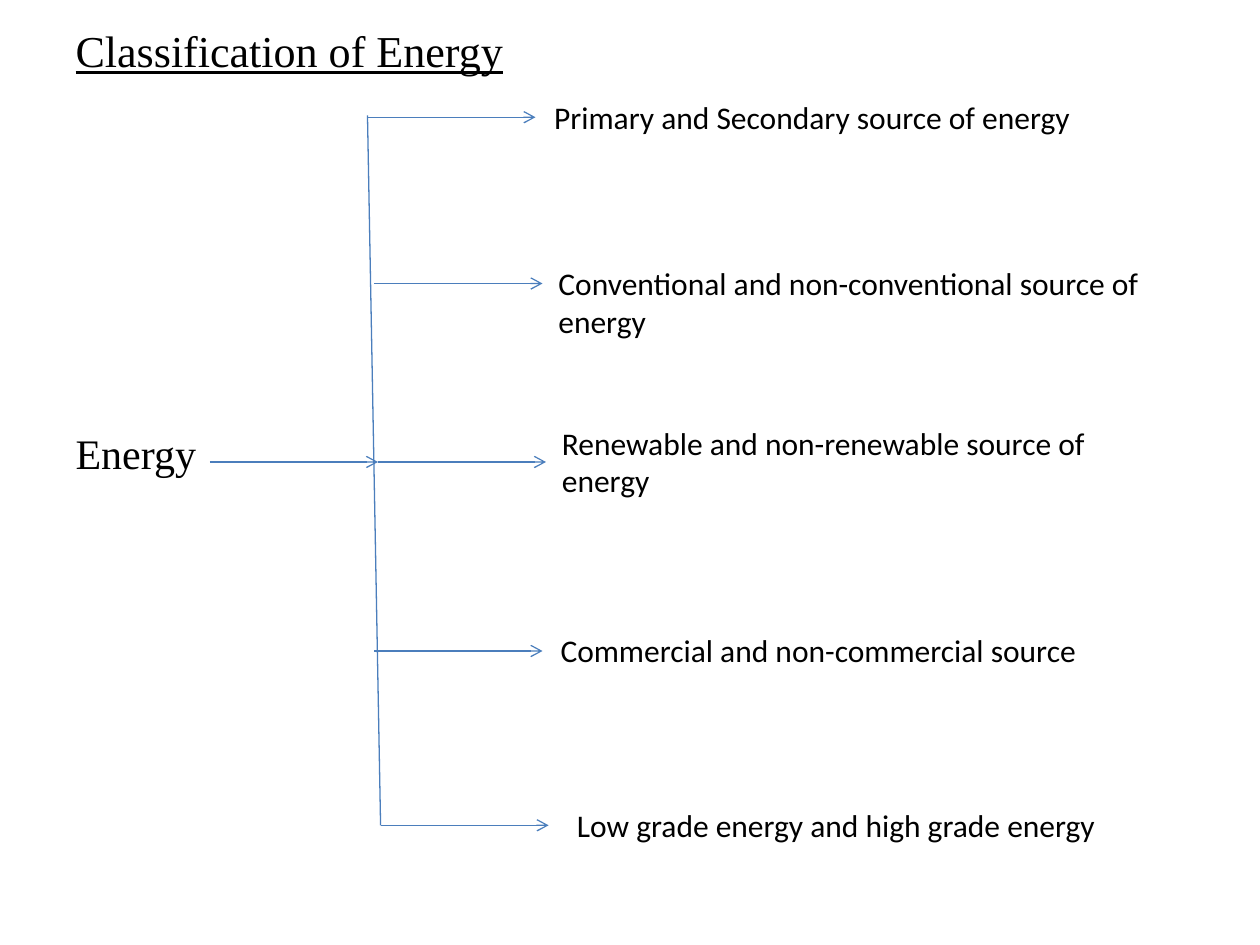
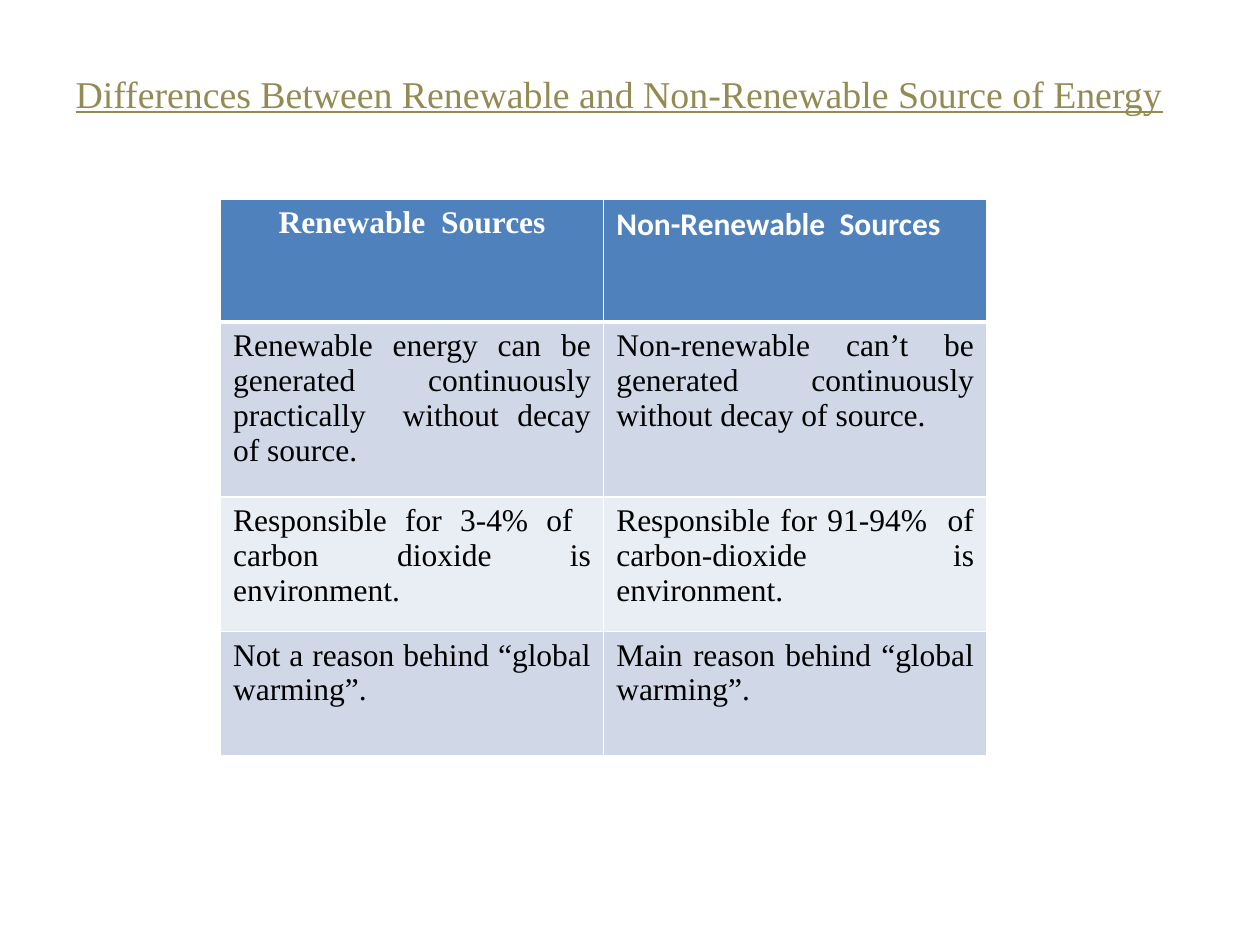
from lxml import etree
from pptx import Presentation
from pptx.dml.color import RGBColor
from pptx.enum.shapes import MSO_CONNECTOR
from pptx.enum.text import MSO_ANCHOR, MSO_AUTO_SIZE, PP_ALIGN
from pptx.oxml.ns import qn
from pptx.util import Pt

LEFT, CENTER, JUSTIFY = PP_ALIGN.LEFT, PP_ALIGN.CENTER, PP_ALIGN.JUSTIFY
TOP, MIDDLE = MSO_ANCHOR.TOP, MSO_ANCHOR.MIDDLE
NO_FIT, GROW = MSO_AUTO_SIZE.NONE, MSO_AUTO_SIZE.SHAPE_TO_FIT_TEXT
STRAIGHT = MSO_CONNECTOR.STRAIGHT
SERIF, SANS = "Times New Roman", "Calibri"
BLACK, WHITE, OLIVE = "000000", "FFFFFF", "948A54"
LINE_BLUE, HEADER_BLUE = "4B7EBC", "4F81BD"
BANDS = ["D0D8E8", "E9EDF4"]

# Slide 1: text, arrow start (x, y), label box (left, top, width, height)
CLASSES = [
    ("Primary and Secondary source of energy", (210, 67), (309.6, 52.5, 330, 29)),
    ("Conventional and non-conventional source of energy", (214, 162), (312, 147.5, 348, 51)),
    ("Renewable and non-renewable source of energy", (216, 264), (314, 238.5, 348, 51)),
    ("Commercial and non-commercial source", (214, 372), (313.2, 357, 348, 29)),
    ("Low grade energy and high grade energy", (217.5, 471.6), (322.6, 457, 348, 29)),
]
ARROW_LENGTH = 96
ENERGY_ARROW = (120, 264), (216, 264)
TRUNK = (210, 66), (217.5, 471.6)

# Slide 2
HEADERS = [("Renewable  Sources", SERIF, CENTER), ("Non-Renewable  Sources", SANS, LEFT)]
DIFFERENCES = [
    ("Renewable energy can be generated continuously practically  without decay of source.",
     "Non-renewable can’t be generated  continuously without decay of source."),
    ("Responsible for 3-4% of  carbon dioxide is environment.",
     "Responsible for 91-94%  of carbon-dioxide is environment."),
    ("Not a reason behind “global warming”.",
     "Main reason behind “global warming”."),
]
COLUMN_WIDTH = 219
ROW_HEIGHTS = [70, 100, 77, 71]


def rgb(color):
    return RGBColor.from_string(color)


def write(tf, text, font, size, color=BLACK, align=LEFT, **format_values):
    p = tf.paragraphs[0]
    p.alignment = align
    r = p.add_run()
    r.text = text
    r.font.color.rgb = rgb(color)
    for name, value in {"name": font, "size": Pt(size), **format_values}.items():
        setattr(r.font, name, value)
    return p


def place(shape, left, top, width, height):
    for name, value in zip(("left", "top", "width", "height"), (left, top, width, height)):
        setattr(shape, name, Pt(value))


def add_titled_slide(prs, layout, title, box, size, color):
    s = prs.slides.add_slide(prs.slide_layouts[layout])
    place(s.shapes.title, *box)
    tf = s.shapes.title.text_frame
    tf.auto_size, tf.vertical_anchor = NO_FIT, MIDDLE
    write(tf, title, SERIF, size, color, underline=True)
    return s


def add_line(s, start, end, arrow=True):
    line = s.shapes.add_connector(STRAIGHT, *map(Pt, start + end))
    line.line.color.rgb = rgb(LINE_BLUE)
    line.line.width = Pt(0.75)
    if arrow:
        etree.SubElement(line.line._get_or_add_ln(), qn("a:tailEnd"), type="arrow")
    etree.SubElement(line._element.spPr, qn("a:effectLst"))


def set_borders(cell, **widths):
    """Draw white cell borders; they must come before the fill in the XML."""
    tc_pr = cell._tc.get_or_add_tcPr()
    for i, (side, width) in enumerate(widths.items()):
        ln = etree.Element(qn("a:ln" + side), w=str(Pt(width)))
        fill = etree.SubElement(ln, qn("a:solidFill"))
        etree.SubElement(fill, qn("a:srgbClr"), val=WHITE)
        tc_pr.insert(i, ln)


def build_classification(prs):
    s = add_titled_slide(prs, 1, "Classification of Energy", (36, 12, 648, 33), 25.2, BLACK)
    body = s.placeholders[1]
    place(body, 36, 60, 648, 456)
    tf = body.text_frame
    tf.auto_size, tf.vertical_anchor, tf.margin_top = NO_FIT, TOP, Pt(184)
    p = write(tf, "Energy", SERIF, 24)
    p.space_before = Pt(0)
    p_pr = p._p.get_or_add_pPr()
    p_pr.set("marL", "0")
    p_pr.set("indent", "0")
    etree.SubElement(p_pr, qn("a:buNone"))

    add_line(s, *ENERGY_ARROW)
    add_line(s, *TRUNK, arrow=False)
    for text, (x, y), box in CLASSES:
        add_line(s, (x, y), (x + ARROW_LENGTH, y))
        tf = s.shapes.add_textbox(*map(Pt, box)).text_frame
        tf.word_wrap, tf.auto_size = True, GROW
        write(tf, text, SANS, 18)


def build_differences(prs):
    s = add_titled_slide(prs, 5, "Differences Between Renewable and Non-Renewable Source of Energy",
                         (36, 21.6, 648, 63), 21.6, OLIVE)
    table = s.shapes.add_table(len(ROW_HEIGHTS), len(HEADERS), Pt(126), Pt(114),
                               Pt(COLUMN_WIDTH * len(HEADERS)), Pt(sum(ROW_HEIGHTS))).table
    for column in table.columns:
        column.width = Pt(COLUMN_WIDTH)
    for row, height in zip(table.rows, ROW_HEIGHTS):
        row.height = Pt(height)

    rows = [HEADERS] + [[(text, SERIF, JUSTIFY) for text in pair] for pair in DIFFERENCES]
    for i, row in enumerate(rows):
        header = i == 0
        for j, (text, font, align) in enumerate(row):
            cell = table.cell(i, j)
            cell.fill.solid()
            cell.fill.fore_color.rgb = rgb(HEADER_BLUE if header else BANDS[(i - 1) % 2])
            set_borders(cell, L=1, R=1, T=3 if i == 1 else 1, B=3 if header else 1)
            write(cell.text_frame, text, font, 18, WHITE if header else BLACK, align, bold=header)


def main():
    prs = Presentation()
    prs.slide_width, prs.slide_height = Pt(720), Pt(540)
    build_classification(prs)
    build_differences(prs)
    prs.save("out.pptx")


if __name__ == "__main__":
    main()
